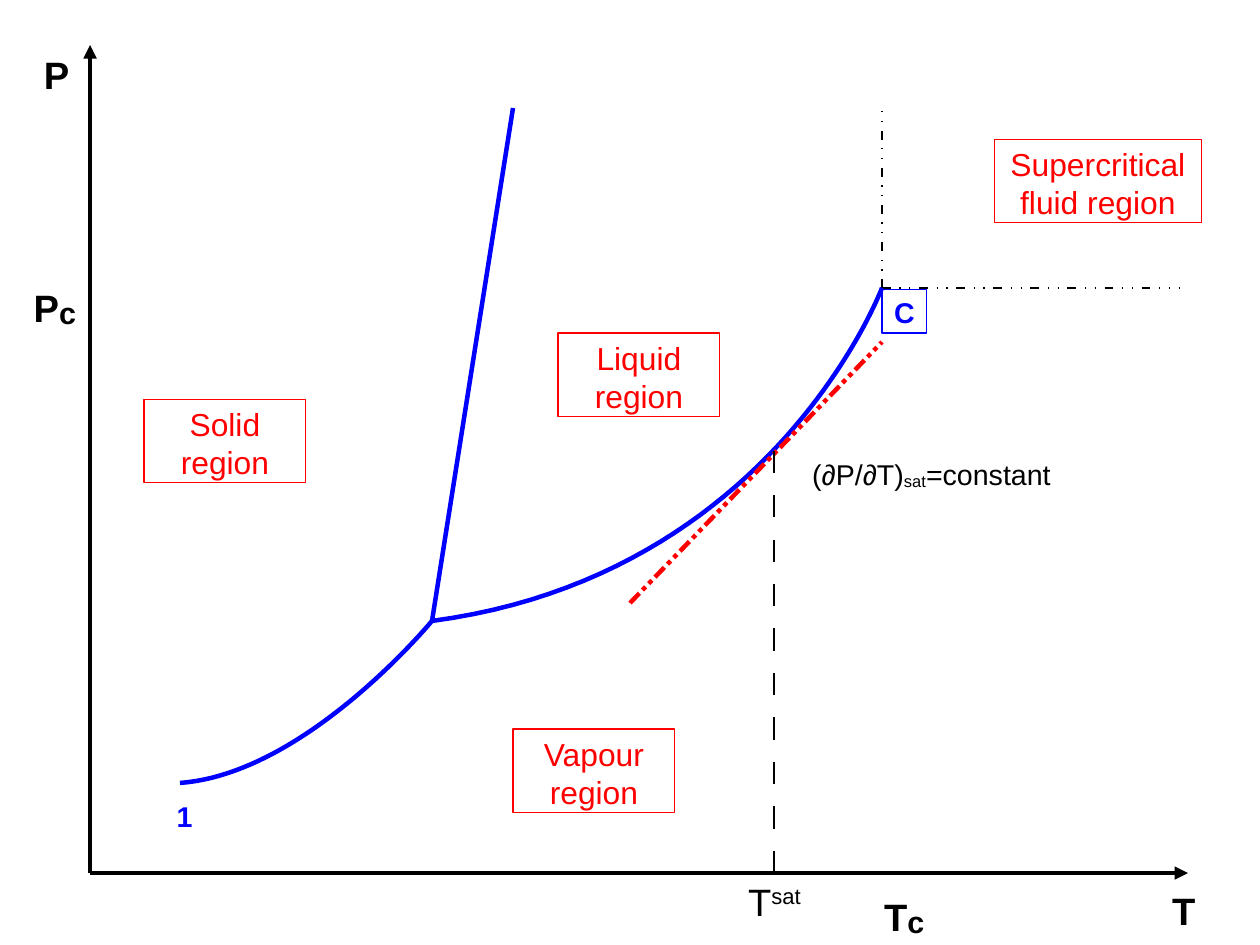
from dataclasses import dataclass

from lxml import etree
from pptx import Presentation
from pptx.dml.color import RGBColor
from pptx.enum.shapes import MSO_CONNECTOR, MSO_SHAPE
from pptx.enum.text import MSO_ANCHOR, MSO_AUTO_SIZE, PP_ALIGN
from pptx.oxml.ns import qn
from pptx.util import Pt

PX = 9000  # 40 px to the centimetre
BLACK = RGBColor(0, 0, 0)
BLUE = RGBColor(0, 0, 255)
RED = RGBColor(255, 0, 0)
FONT = "Arial"
THICK, THIN, HAIRLINE = 2.83, 0.75, 0

# Dash and gap pairs, in percent of the line width
WIDE_DASHES = [(1900, 1900)]
FINE_DASH_DOTS = [(750, 740), (100, 740), (100, 740)]
DASH_DOTS = [(300, 100), (100, 100), (100, 100)]

# Points of the diagram, right of and above the origin
SUBLIMATION_START = (80, 80)
TRIPLE_POINT = (304, 224)
MELTING_END = (376, 680)
CRITICAL_POINT = (704, 520)
SATURATION_POINT = (608, 376)


@dataclass
class Box:
    left: int
    top: int
    width: int
    height: int

    def place(self, point):
        """Turn a point measured from the box's lower left corner into EMU."""
        x, y = point
        return round((self.left + x) * PX), round((self.top + self.height - y) * PX)


def format_line(line, color, width):
    line.color.rgb = color
    line.width = Pt(width)


def add_line(slide, box, start, end, color=BLACK, width=THIN, dashes=(), arrow=False):
    connector = slide.shapes.add_connector(
        MSO_CONNECTOR.STRAIGHT, *box.place(start), *box.place(end))
    format_line(connector.line, color, width)
    line = connector.line._get_or_add_ln()
    if dashes:
        pattern = etree.SubElement(line, qn("a:custDash"))
        for dash, gap in dashes:
            etree.SubElement(pattern, qn("a:ds"), d=str(dash * 1000), sp=str(gap * 1000))
    if arrow:
        etree.SubElement(line, qn("a:tailEnd"), type="triangle")
    etree.SubElement(connector._element.spPr, qn("a:effectLst"))


def add_curve(slide, box, start, control_1, control_2, end, steps=48):
    """Draw a cubic Bezier curve as a fine polyline."""
    points = []
    for step in range(steps + 1):
        t = step / steps
        weights = ((1 - t) ** 3, 3 * t * (1 - t) ** 2, 3 * t ** 2 * (1 - t), t ** 3)
        points.append(box.place([
            sum(weight * value for weight, value in zip(weights, values))
            for values in zip(start, control_1, control_2, end)]))
    builder = slide.shapes.build_freeform(*points[0])
    builder.add_line_segments(points[1:], close=False)
    curve = builder.convert_to_shape()
    curve.shadow.inherit = False
    curve.fill.background()
    format_line(curve.line, BLUE, THICK)


def write_text(shape, runs, size=24, color=BLACK, bold=False, align=PP_ALIGN.LEFT, wrap=False):
    """Fill the shape with runs given as (text, baseline percent, size or None)."""
    frame = shape.text_frame
    frame.word_wrap = wrap
    frame.auto_size = MSO_AUTO_SIZE.SHAPE_TO_FIT_TEXT
    frame.vertical_anchor = MSO_ANCHOR.TOP
    paragraph = frame.paragraphs[0]
    paragraph.alignment = align
    for text, baseline, run_size in runs:
        run = paragraph.add_run()
        run.text = text
        font = run.font
        font.name, font.bold, font.size = FONT, bold, Pt(run_size or size)
        font.color.rgb = color
        if baseline:
            font._element.set("baseline", str(baseline * 1000))


def add_label(slide, box, corner, width, height, runs, **text_format):
    label = slide.shapes.add_textbox(*box.place(corner), width * PX, height * PX)
    write_text(label, runs, **text_format)


def add_framed_label(slide, box, corner, width, height, text, color, **text_format):
    frame = slide.shapes.add_shape(
        MSO_SHAPE.RECTANGLE, *box.place(corner), width * PX, height * PX)
    frame.shadow.inherit = False
    frame.fill.background()
    format_line(frame.line, color, HAIRLINE)
    write_text(frame, [(text, 0, None)], color=color,
               align=PP_ALIGN.CENTER, wrap=True, **text_format)


def draw_axes(slide, box):
    for end in ((0, box.height), (box.width, 0)):
        add_line(slide, box, (0, 0), end, width=THICK, arrow=True)
    subscript = ("c", -4, 33.1)
    for corner, width, height, runs in (
        ((952, -8), 41, 48, [("T", 0, None)]),
        ((-51, 735), 43, 48, [("P", 0, None)]),
        ((-60, 541), 58, 54, [("P", 0, None), subscript]),
        ((696, 0), 56, 54, [("T", 0, None), subscript]),
    ):
        add_label(slide, box, corner, width, height, runs, bold=True)


def draw_phase_boundaries(slide, box):
    critical_x, critical_y = CRITICAL_POINT
    for end in ((968, critical_y), (critical_x, 680)):
        add_line(slide, box, CRITICAL_POINT, end, dashes=FINE_DASH_DOTS)
    add_curve(slide, box, SUBLIMATION_START, (192, 88), TRIPLE_POINT, TRIPLE_POINT)
    add_line(slide, box, TRIPLE_POINT, MELTING_END, BLUE, THICK)
    add_curve(slide, box, TRIPLE_POINT, (608, 264), CRITICAL_POINT, CRITICAL_POINT)
    add_label(slide, box, (64, 71), 40, 39, [("1", 0, None)], size=18, color=BLUE,
              bold=True, align=PP_ALIGN.CENTER, wrap=True)
    add_framed_label(slide, box, (critical_x, critical_y - 1), 40, 39, "C", BLUE,
                     size=18, bold=True)


def draw_region_names(slide, box):
    for text, corner, width in (
        ("Solid region", (48, 421), 144),
        ("Vapour region", (376, 128), 144),
        ("Liquid region", (416, 480), 144),
        ("Supercritical fluid region", (804, 652), 184),
    ):
        add_framed_label(slide, box, corner, width, 74, text, RED, size=20)


def draw_saturation_slope(slide, box):
    add_line(slide, box, (480, 240), (704, 472), RED, THICK, DASH_DOTS)
    add_line(slide, box, (SATURATION_POINT[0], 0), SATURATION_POINT, dashes=WIDE_DASHES)
    add_label(slide, box, (575, 0), 67, 50, [("T", 0, None), ("sat", 33, None)])
    add_label(slide, box, (632, 375), 232, 47,
              [("(∂P/∂T)", 0, None), ("sat", -8, None), ("=constant", 0, None)], size=18)


def main():
    presentation = Presentation()
    presentation.slide_width, presentation.slide_height = 1120 * PX, 840 * PX
    slide = presentation.slides.add_slide(presentation.slide_layouts[6])
    plot = Box(80, 40, 976, 736)
    draw_axes(slide, plot)
    draw_phase_boundaries(slide, plot)
    draw_region_names(slide, plot)
    draw_saturation_slope(slide, plot)
    presentation.save("out.pptx")


if __name__ == "__main__":
    main()
